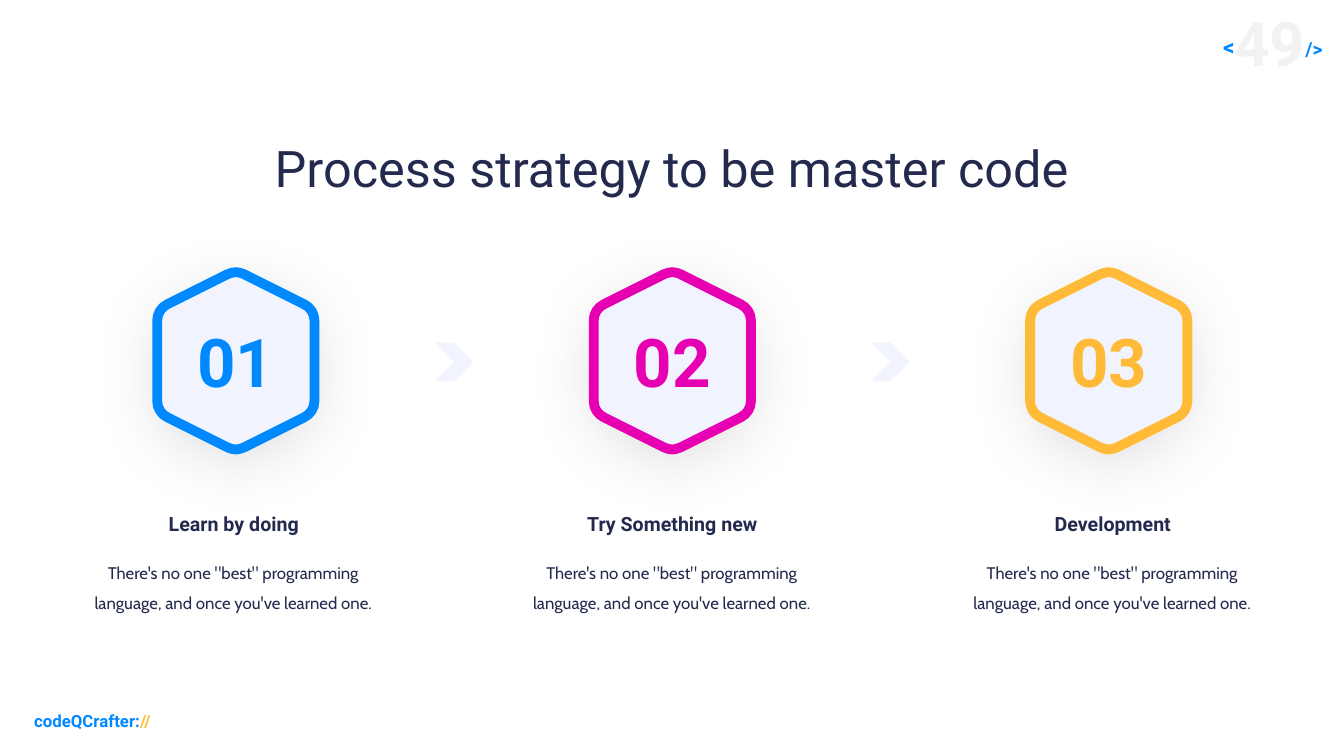
"""Build a slide with a three-step process in hexagons."""
from lxml import etree
from pptx import Presentation
from pptx.dml.color import RGBColor
from pptx.enum.shapes import MSO_SHAPE
from pptx.enum.text import MSO_ANCHOR, MSO_AUTO_SIZE, PP_ALIGN
from pptx.oxml.ns import qn
from pptx.util import Inches, Pt

CHEVRON = MSO_SHAPE.CHEVRON
TOP, MIDDLE = MSO_ANCHOR.TOP, MSO_ANCHOR.MIDDLE
FIT = MSO_AUTO_SIZE.SHAPE_TO_FIT_TEXT
LEFT, CENTER, RIGHT = PP_ALIGN.LEFT, PP_ALIGN.CENTER, PP_ALIGN.RIGHT

BLUE = RGBColor(0x00, 0x88, 0xFF)
PINK = RGBColor(0xE7, 0x00, 0xB2)
GOLD = RGBColor(0xFF, 0xBB, 0x37)
NAVY = RGBColor(0x23, 0x2A, 0x4E)
PALE = RGBColor(0xF1, 0xF3, 0xFE)
GREY = RGBColor(0xF2, 0xF2, 0xF2)

BODY = "There's no one \"best\" programming language, and once you've learned one."
STEPS = [
    ("Learn by doing", BLUE, 2.32),
    ("Try Something new", PINK, 6.67),
    ("Development", GOLD, 11.04),
]
FIRST, PITCH, MID = 2.34, 4.33, 3.58
TIP = (0, -0.88)
HALF = [
    [(0.03, -0.88), (0.05, -0.87), (0.08, -0.86)],
    [(0.68, -0.56)],
    [(0.74, -0.53), (0.78, -0.47), (0.78, -0.4)],
    [(0.78, 0.4)],
    [(0.78, 0.47), (0.74, 0.53), (0.68, 0.56)],
    [(0.08, 0.86)],
    [(0.05, 0.87), (0.03, 0.88), (0, 0.88)],
]
EDGES = HALF + [[(-dx, -dy) for dx, dy in edge] for edge in HALF]


class Deck:
    """Hold the style and the current slide."""

    def __init__(self, font="Roboto", ink=NAVY):
        """Open a wide deck with one blank slide."""
        self.font, self.ink = font, ink
        self.file = Presentation()
        self.file.slide_width, self.file.slide_height = Inches(40 / 3), Inches(7.5)
        self.slide = self.file.slides.add_slide(self.file.slide_layouts[6])

    def text(self, box, runs, size=12, font=None, color=None, bold=False,
             align=CENTER, space=None, anchor=TOP, wrap=True):
        """Add a text box from a string or (text, format) runs."""
        frame = self.slide.shapes.add_textbox(*map(Inches, box)).text_frame
        frame.word_wrap, frame.auto_size = wrap, FIT
        frame.vertical_anchor = anchor
        para = frame.paragraphs[0]
        para.alignment, para.line_spacing = align, space
        for words, form in [(runs, {})] if isinstance(runs, str) else runs:
            run = para.add_run()
            run.text = words
            run.font.name, run.font.bold = font or self.font, bold
            run.font.size = Pt(form.get("size", size))
            run.font.color.rgb = form.get("color", color or self.ink)
            if "rise" in form:
                run.font._element.set("baseline", str(form["rise"] * 1000))

    def hexagon(self, x, y, color):
        """Add a hexagon with curved corners, a thick outline and a shadow."""
        edges = [[(Inches(x + dx), Inches(y + dy)) for dx, dy in edge]
                 for edge in EDGES]
        pen = self.slide.shapes.build_freeform(
            Inches(x + TIP[0]), Inches(y + TIP[1]), scale=1.0)
        pen.add_line_segments([edge[-1] for edge in edges], close=True)
        shape = pen.convert_to_shape()
        lines = list(shape._element.iter(qn("a:lnTo")))
        for line, edge in zip(lines, edges):
            if len(edge) == 3:
                curve = etree.Element(qn("a:cubicBezTo"))
                for px, py in edge:
                    etree.SubElement(curve, qn("a:pt"), x=str(px - shape.left),
                                     y=str(py - shape.top))
                line.getparent().replace(line, curve)
        shape.fill.solid()
        shape.fill.fore_color.rgb = PALE
        shape.line.color.rgb, shape.line.width = color, Pt(7)
        shape.shadow.inherit = False
        effects = shape._element.spPr.find(qn("a:effectLst"))
        shade = etree.SubElement(
            effects, qn("a:outerShdw"), blurRad=str(Pt(51)), dist=str(Pt(15)),
            dir="5400000", sx="90000", sy="90000", algn="t", rotWithShape="0")
        black = etree.SubElement(shade, qn("a:srgbClr"), val="000000")
        etree.SubElement(black, qn("a:alpha"), val="15000")

    def arrow(self, x, y, size=0.38):
        """Add a pale chevron centred on x, y."""
        box = (x - size / 2, y - size / 2, size, size)
        shape = self.slide.shapes.add_shape(CHEVRON, *map(Inches, box))
        shape.fill.solid()
        shape.fill.fore_color.rgb = PALE
        shape.line.fill.background()
        shape.shadow.inherit = False


def main():
    """Draw the slide and save it."""
    deck = Deck()
    deck.text((10.67, 0, 2.55, 0.84),
              [("<", {"size": 28, "rise": 30}),
               ("49", {"size": 44, "color": GREY}),
               ("/>", {"size": 24, "rise": 30})],
              color=BLUE, bold=True, align=RIGHT, anchor=MIDDLE)
    deck.text((0.24, 7, 1.48, 0.3), [("codeQCrafter:", {}), ("//", {"color": GOLD})],
              color=BLUE, bold=True, align=LEFT, wrap=False)
    deck.text((2, 1.31, 9.33, 0.71), "Process strategy to be master code", size=36)
    for i, (head, color, center) in enumerate(STEPS):
        x = FIRST + i * PITCH
        deck.hexagon(x, MID, color)
        deck.text((x - 0.65, 3.13, 1.3, 0.91), f"{i + 1:02}",
                  size=48, color=color, bold=True)
        if i < len(STEPS) - 1:
            deck.arrow(x + PITCH / 2, MID + 0.01)
        deck.text((center - 1.02, 4.96, 2.04, 0.37), head,
                  size=14, bold=True, space=1.3)
        deck.text((center - 1.53, 5.43, 3.05, 0.67), BODY, font="Cabin", space=1.5)
    deck.file.save("out.pptx")


if __name__ == "__main__":
    main()
